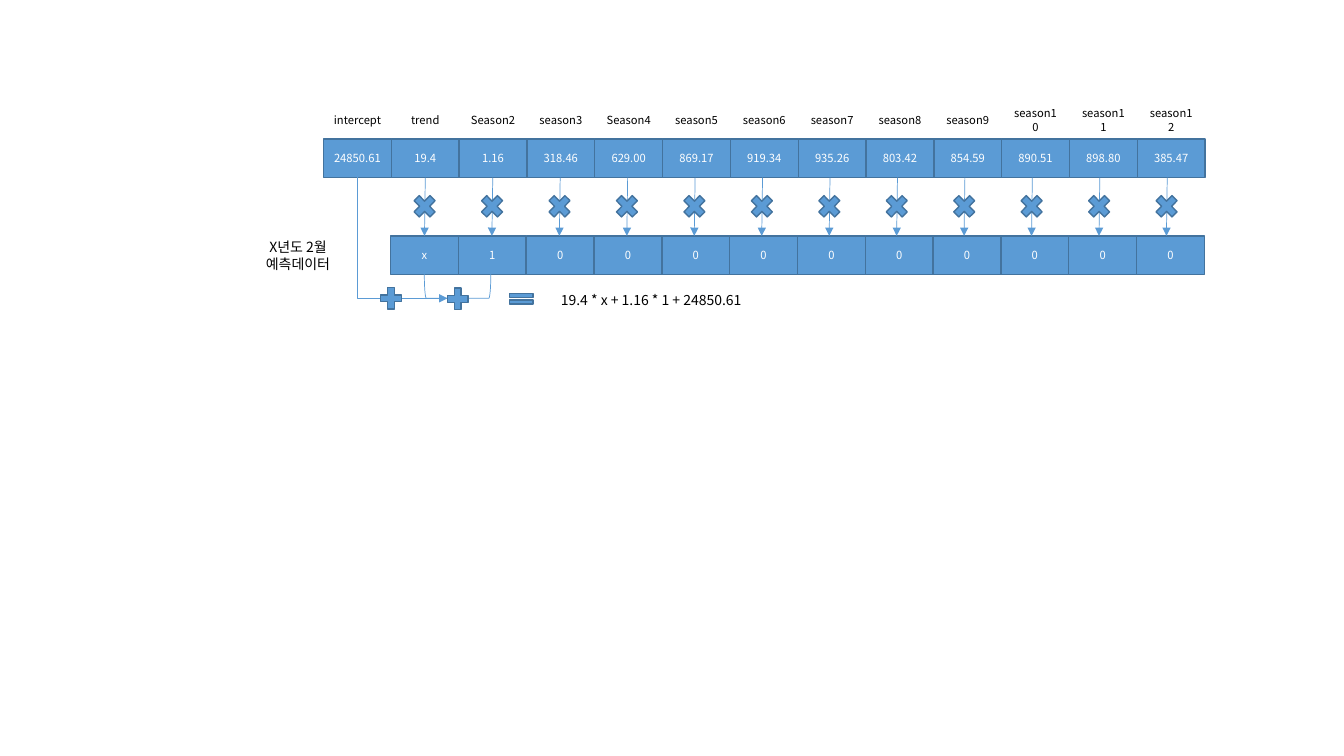
"""Draw how regression coefficients combine into a February forecast."""
from dataclasses import dataclass

from lxml import etree
from pptx import Presentation
from pptx.dml.color import RGBColor
from pptx.enum.shapes import MSO_CONNECTOR, MSO_SHAPE
from pptx.enum.text import MSO_ANCHOR, PP_ALIGN
from pptx.oxml.ns import qn
from pptx.util import Pt

RECTANGLE = MSO_SHAPE.RECTANGLE
MULTIPLY = MSO_SHAPE.MATH_MULTIPLY
PLUS = MSO_SHAPE.MATH_PLUS
EQUAL = MSO_SHAPE.MATH_EQUAL
BRACKET = MSO_SHAPE.RIGHT_BRACKET
STRAIGHT = MSO_CONNECTOR.STRAIGHT
ELBOW = MSO_CONNECTOR.ELBOW
CENTER = PP_ALIGN.CENTER
MIDDLE = MSO_ANCHOR.MIDDLE


@dataclass(frozen=True)
class Theme:
    """Colours, font and sizes used on the slide."""
    fill: RGBColor = RGBColor(0x5B, 0x9B, 0xD5)
    outline: RGBColor = RGBColor(0x43, 0x73, 0x9E)
    dark: RGBColor = RGBColor(0, 0, 0)
    light: RGBColor = RGBColor(255, 255, 255)
    font: str = "Noto Sans CJK KR"
    small: float = 8
    normal: float = 10
    border: float = 1
    thin: float = 0.5


@dataclass(frozen=True)
class Box:
    """Position and size in points."""
    left: float
    top: float
    width: float
    height: float

    def lengths(self) -> tuple:
        """Return the box as slide lengths."""
        return Pt(self.left), Pt(self.top), Pt(self.width), Pt(self.height)


@dataclass(frozen=True)
class Term:
    """One model term with its coefficient."""
    name: str
    coefficient: str


THEME = Theme()
TERMS = [
    Term("intercept", "24850.61"), Term("trend", "19.4"),
    Term("Season2", "1.16"), Term("season3", "318.46"),
    Term("Season4", "629.00"), Term("season5", "869.17"),
    Term("season6", "919.34"), Term("season7", "935.26"),
    Term("season8", "803.42"), Term("season9", "854.59"),
    Term("season10", "890.51"), Term("season11", "898.80"),
    Term("season12", "385.47"),
]
INPUTS = ["x", "1"] + ["0"] * 10
CELL_WIDTH, CELL_HEIGHT = 48.44, 27.4
TERM_LEFT, INPUT_LEFT = 231.1, 279
NAME_TOP, COEFFICIENT_TOP, INPUT_TOP = 72, 99.4, 168.5
ARROW_LEFT, ARROW_PITCH = 303.8, 48.18
SUM_SIGNS = [
    (PLUS, Box(316.8, 203.1, 20.2, 20.9)),
    (EQUAL, Box(360.9, 206.9, 23, 13)),
    (PLUS, Box(269.3, 202.6, 20.2, 20.9)),
]


def apply(target, values: dict) -> None:
    """Set each named attribute on the target."""
    for name, value in values.items():
        setattr(target, name, value)


def write(shape, text: str, size: float, color: RGBColor) -> None:
    """Put centred text into a shape."""
    frame = shape.text_frame
    frame.text = text
    apply(frame, {"word_wrap": True, "vertical_anchor": MIDDLE})
    for paragraph in frame.paragraphs:
        paragraph.alignment = CENTER
        for run in paragraph.runs:
            apply(run.font, {"name": THEME.font, "size": Pt(size)})
            run.font.color.rgb = color
            east_asian = etree.SubElement(run.font._element, qn("a:ea"))
            east_asian.set("typeface", THEME.font)


def add_label(slide, box: Box, text: str, size: float) -> None:
    """Add dark text without a frame."""
    write(slide.shapes.add_textbox(*box.lengths()), text, size, THEME.dark)


def add_block(slide, kind, box: Box):
    """Add a filled and outlined shape."""
    shape = slide.shapes.add_shape(kind, *box.lengths())
    shape.shadow.inherit = False
    shape.fill.solid()
    shape.fill.fore_color.rgb = THEME.fill
    shape.line.color.rgb = THEME.outline
    shape.line.width = Pt(THEME.border)
    return shape


def add_cell(slide, left: float, top: float, text: str) -> None:
    """Add a value cell."""
    block = add_block(slide, RECTANGLE, Box(left, top, CELL_WIDTH, CELL_HEIGHT))
    write(block, text, THEME.small, THEME.light)


def add_arrow(slide, kind, start: tuple, end: tuple):
    """Add a thin connector with a triangle head."""
    arrow = slide.shapes.add_connector(kind, *map(Pt, start + end))
    arrow.line.color.rgb = THEME.fill
    arrow.line.width = Pt(THEME.thin)
    properties = arrow._element.spPr
    etree.SubElement(properties.find(qn("a:ln")), qn("a:tailEnd"), type="triangle")
    etree.SubElement(properties, qn("a:effectLst"))
    return arrow


def add_bracket(slide) -> None:
    """Join the first two products under the input row."""
    bracket = add_block(slide, BRACKET, Box(318.2, 180.7, 17.3, 47.5))
    bracket.fill.background()
    bracket.line.color.rgb = THEME.fill
    bracket.line.width = Pt(THEME.thin)
    bracket.rotation = 90
    bracket._element.spPr.find(qn("a:xfrm")).set("flipV", "1")


def add_intercept_arrow(slide) -> None:
    """Lead the intercept down and right into the sum."""
    arrow = add_arrow(slide, ELBOW, (330.7, 137.7), (244.3, 202.1))
    properties = arrow._element.spPr
    properties.find(qn("a:xfrm")).set("rot", "16200000")
    properties.find(qn("a:prstGeom")).set("prst", "bentConnector2")


def main() -> None:
    """Build and save the slide."""
    presentation = Presentation()
    apply(presentation, {"slide_width": Pt(960), "slide_height": Pt(540)})
    slide = presentation.slides.add_slide(presentation.slide_layouts[6])
    for index, term in enumerate(TERMS):
        left = TERM_LEFT + index * CELL_WIDTH
        name_box = Box(left, NAME_TOP, CELL_WIDTH, CELL_HEIGHT)
        add_label(slide, name_box, term.name, THEME.small)
        add_cell(slide, left, COEFFICIENT_TOP, term.coefficient)
    add_label(slide, Box(175, INPUT_TOP, 75.6, CELL_HEIGHT),
              "X년도 2월\n예측데이터", THEME.normal)
    for index, value in enumerate(INPUTS):
        add_cell(slide, INPUT_LEFT + index * CELL_WIDTH, INPUT_TOP, value)
    for index in range(len(INPUTS)):
        center = ARROW_LEFT + index * ARROW_PITCH
        add_arrow(slide, STRAIGHT, (center, COEFFICIENT_TOP + CELL_HEIGHT),
                  (center - 0.6, INPUT_TOP))
        add_block(slide, MULTIPLY, Box(center - 11.4, 136.2, 21.8, 22.3))
    add_bracket(slide)
    add_intercept_arrow(slide)
    for kind, box in SUM_SIGNS:
        add_block(slide, kind, box)
    add_label(slide, Box(385.9, 200.2, 158.4, CELL_HEIGHT),
              "19.4 * x + 1.16 * 1 + 24850.61", THEME.normal)
    presentation.save("out.pptx")


main()
